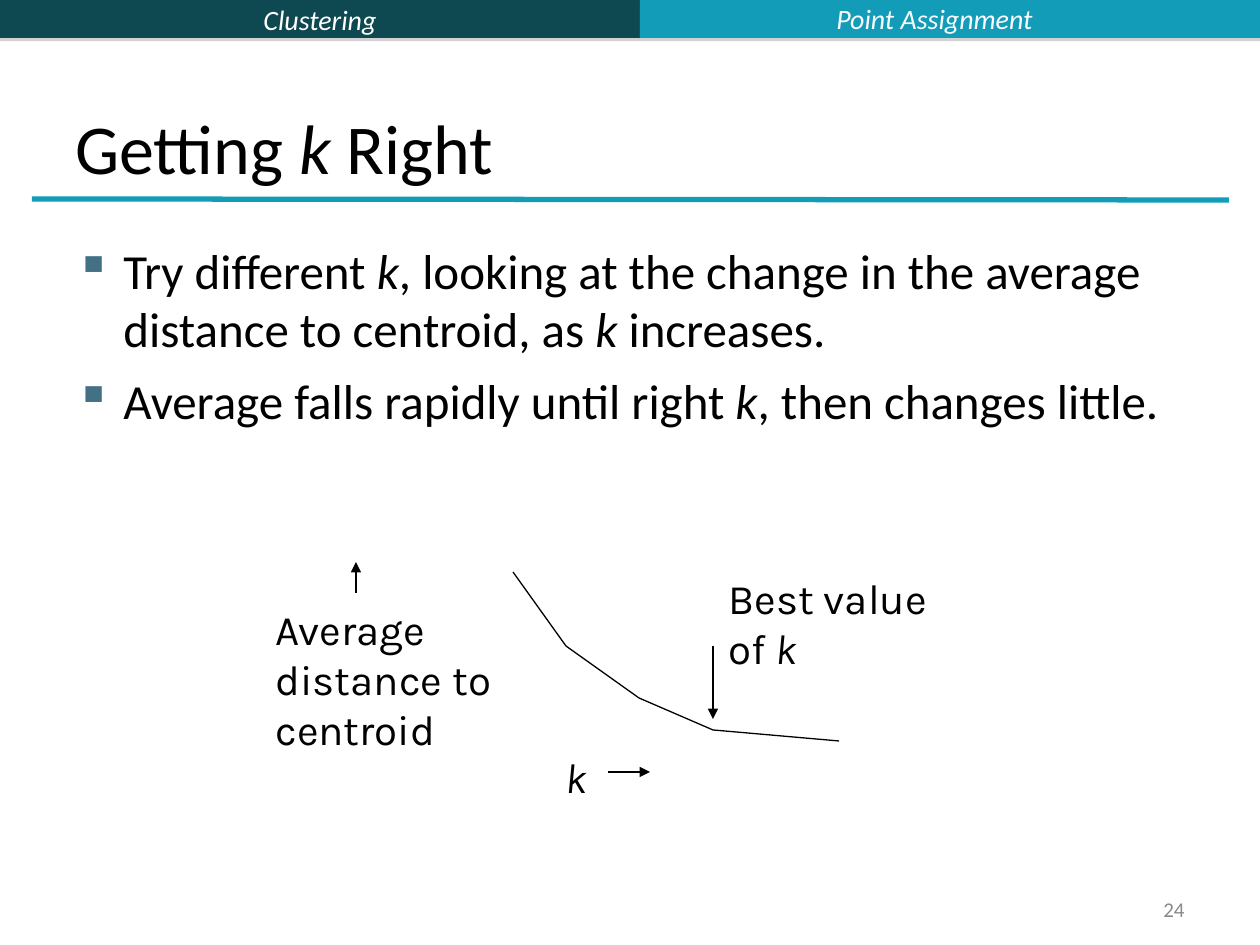
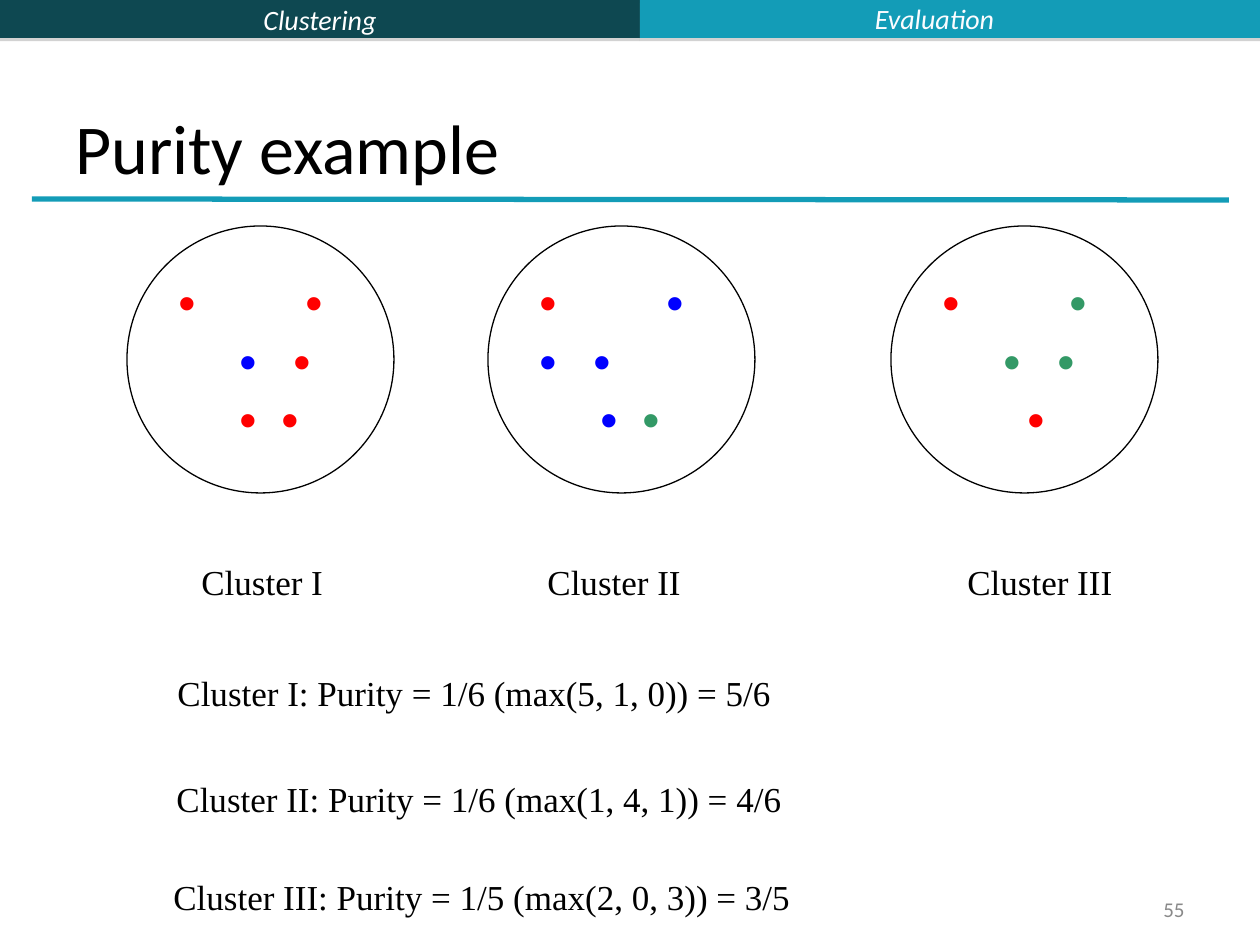
from dataclasses import dataclass
from itertools import pairwise

from lxml.etree import SubElement
from pptx import Presentation
from pptx.dml.color import RGBColor as Rgb
from pptx.enum.shapes import MSO_CONNECTOR as Conn, MSO_SHAPE as Shape
from pptx.enum.text import MSO_ANCHOR as Anchor, PP_ALIGN as Align
from pptx.oxml.ns import qn
from pptx.util import Pt

SCALE = 914400 / 126


@dataclass(frozen=True)
class Theme:
    ink: str = "000000"
    paper: str = "FFFFFF"
    dark: str = "0E4851"
    teal: str = "139CB7"
    topic: str = "FBFCFF"
    bullet: str = "437085"
    gray: str = "898989"
    shade: str = "808080"
    red: str = "FF0000"
    blue: str = "0000FF"
    green: str = "339966"
    main: str = "Calibri"
    label: str = "Karla"
    serif: str = "Times New Roman"
    dot: str = "Arial"
    title: int = 40
    body: int = 28
    note: int = 24
    plain: int = 20
    band: int = 16
    foot: int = 12
    thin: float = 0.75
    rule: float = 3


def emu(*px):
    return [round(n * SCALE) for n in px]


def sub(node, tag, **attrs):
    return SubElement(node, qn(tag), attrs)


class Deck:
    def __init__(self, theme):
        self.look = theme
        self.show = Presentation()
        self.show.slide_width, self.show.slide_height = emu(1260, 945)
        self.slide = None

    def page(self, topic, title, number):
        """Start a slide with the shared bands, rule, title and number."""
        look = self.look
        self.slide = self.show.slides.add_slide(self.show.slide_layouts[6])
        left = self.band(0, 640, look.dark)
        self.band(640, 620, look.teal)
        self.fill(left.text_frame, ["*Clustering*"], look.band, look.main,
                  look.paper, Align.CENTER, Anchor.MIDDLE)
        self.line((32, 199), (1229, 200), look.teal, look.rule)
        self.text((63, 38, 1134, 157), [title], look.title, look.main,
                  anchor=Anchor.BOTTOM)
        self.text((609, -5, 651, 47), [f"*{topic}*"], look.band, look.main,
                  look.topic, Align.CENTER, Anchor.MIDDLE)
        self.text((903, 892, 294, 34), [str(number)], look.foot, look.main,
                  look.gray, Align.RIGHT, Anchor.MIDDLE)

    def shape(self, kind, box, color, edge=None):
        item = self.slide.shapes.add_shape(kind, *emu(*box))
        item.shadow.inherit = False
        item.fill.solid()
        item.fill.fore_color.rgb = Rgb.from_string(color)
        if edge:
            item.line.color.rgb = Rgb.from_string(edge)
            item.line.width = Pt(self.look.thin)
        else:
            item.line.fill.background()
        return item

    def band(self, left, width, color):
        item = self.shape(Shape.RECTANGLE, (left, 0, width, 38), color)
        effects = item.element.spPr.find(qn("a:effectLst"))
        drop = sub(effects, "a:outerShdw", blurRad="0", dist=str(Pt(1.8)),
                   dir="5400000", rotWithShape="0")
        tint = sub(drop, "a:srgbClr", val=self.look.shade)
        sub(tint, "a:alpha", val="35000")
        return item

    def line(self, start, end, color=None, width=None, arrow=False):
        item = self.slide.shapes.add_connector(
            Conn.STRAIGHT, *emu(*start, *end))
        item.line.color.rgb = Rgb.from_string(color or self.look.ink)
        item.line.width = Pt(width or self.look.thin)
        if arrow:
            sub(item.line._get_or_add_ln(), "a:tailEnd", type="triangle")
        sub(item.element.spPr, "a:effectLst")

    def run(self, para, words, size, font, color, italic=False):
        piece = para.add_run()
        piece.text = words
        piece.font.size = Pt(size)
        piece.font.name = font
        piece.font.italic = italic
        piece.font.color.rgb = Rgb.from_string(color)

    def rows(self, frame, count):
        """Yield the paragraphs of an empty frame."""
        for i in range(count):
            yield frame.add_paragraph() if i else frame.paragraphs[0]

    def fill(self, frame, lines, size, font, color=None,
             align=Align.LEFT, anchor=Anchor.TOP):
        """Write lines in which *stars* mark italic words."""
        frame.vertical_anchor = anchor
        for para, words in zip(self.rows(frame, len(lines)), lines):
            para.alignment = align
            for i, part in enumerate(words.split("*")):
                if part:
                    self.run(para, part, size, font, color or self.look.ink,
                             i % 2 == 1)

    def text(self, box, lines, size, font, color=None,
             align=Align.LEFT, anchor=Anchor.TOP, wrap=True):
        frame = self.slide.shapes.add_textbox(*emu(*box)).text_frame
        frame.word_wrap = wrap
        self.fill(frame, lines, size, font, color, align, anchor)
        return frame

    def note(self, box, lines):
        self.text(box, lines, self.look.note, self.look.label, wrap=False)

    def plain(self, box, words):
        self.text(box, [words], self.look.plain, self.look.serif)

    def bullets(self, box, lines):
        frame = self.text(box, lines, self.look.body, self.look.main)
        indent, = emu(48)
        for i, para in enumerate(frame.paragraphs):
            props = para._p.get_or_add_pPr()
            props.set("marL", str(indent))
            props.set("indent", str(-indent))
            sub(sub(props, "a:buClr"), "a:srgbClr", val=self.look.bullet)
            sub(props, "a:buChar", char="▪")
            if i:
                para.space_before = Pt(7)

    def cluster(self, left, grid):
        """Draw a circle whose rows hold (offset, color) dots."""
        look = self.look
        ring = self.shape(Shape.OVAL, (left, 226, 267, 267),
                          look.paper, look.ink)
        frame = ring.text_frame
        frame.vertical_anchor = Anchor.TOP
        for para, dots in zip(self.rows(frame, len(grid)), grid):
            para.alignment = Align.LEFT
            stops = sub(para._p.get_or_add_pPr(), "a:tabLst")
            for offset, color in dots:
                if offset:
                    sub(stops, "a:tab", pos=str(emu(offset)[0]), algn="l")
                self.run(para, "\t•" if offset else "•",
                         look.body, look.dot, color)


def choice(deck):
    deck.page("Point Assignment", "Getting *k* Right", 24)
    deck.bullets((63, 234, 1134, 658), [
        "Try different *k*, looking at the change in the average "
        "distance to centroid, as *k* increases.",
        "Average falls rapidly until right *k*, then changes little."])
    curve = [(513, 572), (566, 646), (639, 698), (713, 730), (839, 741)]
    for start, end in pairwise(curve):
        deck.line(start, end)
    deck.note((553, 745, 45, 63), ["*k*"])
    deck.note((263, 597, 242, 164), ["Average", "distance to", "centroid"])
    deck.note((716, 566, 228, 113), ["Best value", "of *k*"])
    for start, end in [((356, 593), (356, 562)), ((608, 772), (650, 772)),
                       ((713, 646), (713, 719))]:
        deck.line(start, end, arrow=True)


def purity(deck):
    deck.page("Evaluation", "Purity example", 55)
    red, blue, green = deck.look.red, deck.look.blue, deck.look.green
    deck.cluster(127, [[(0, red), (127, red)],
                       [(61, blue), (115, red)],
                       [(61, red), (103, red)]])
    deck.cluster(488, [[(0, red), (127, blue)],
                       [(0, blue), (54, blue)],
                       [(61, blue), (103, green)]])
    deck.cluster(891, [[(0, red), (127, green)],
                       [(61, green), (115, green)],
                       [(85, red)]])
    for name, left, width in [("I", 189, 150), ("II", 535, 184),
                              ("III", 955, 174)]:
        deck.plain((left, 554, width, 55), f"Cluster {name}")
    for left, top, width, words in [
            (165, 665, 664, "Cluster I: Purity = 1/6 (max(5, 1, 0)) = 5/6"),
            (164, 771, 634, "Cluster II: Purity = 1/6 (max(1, 4, 1)) = 4/6"),
            (161, 869, 645, "Cluster III: Purity = 1/5 (max(2, 0, 3)) = 3/5")]:
        deck.plain((left, top, width, 55), words)


def main():
    deck = Deck(Theme())
    choice(deck)
    purity(deck)
    deck.show.save("out.pptx")


if __name__ == "__main__":
    main()
